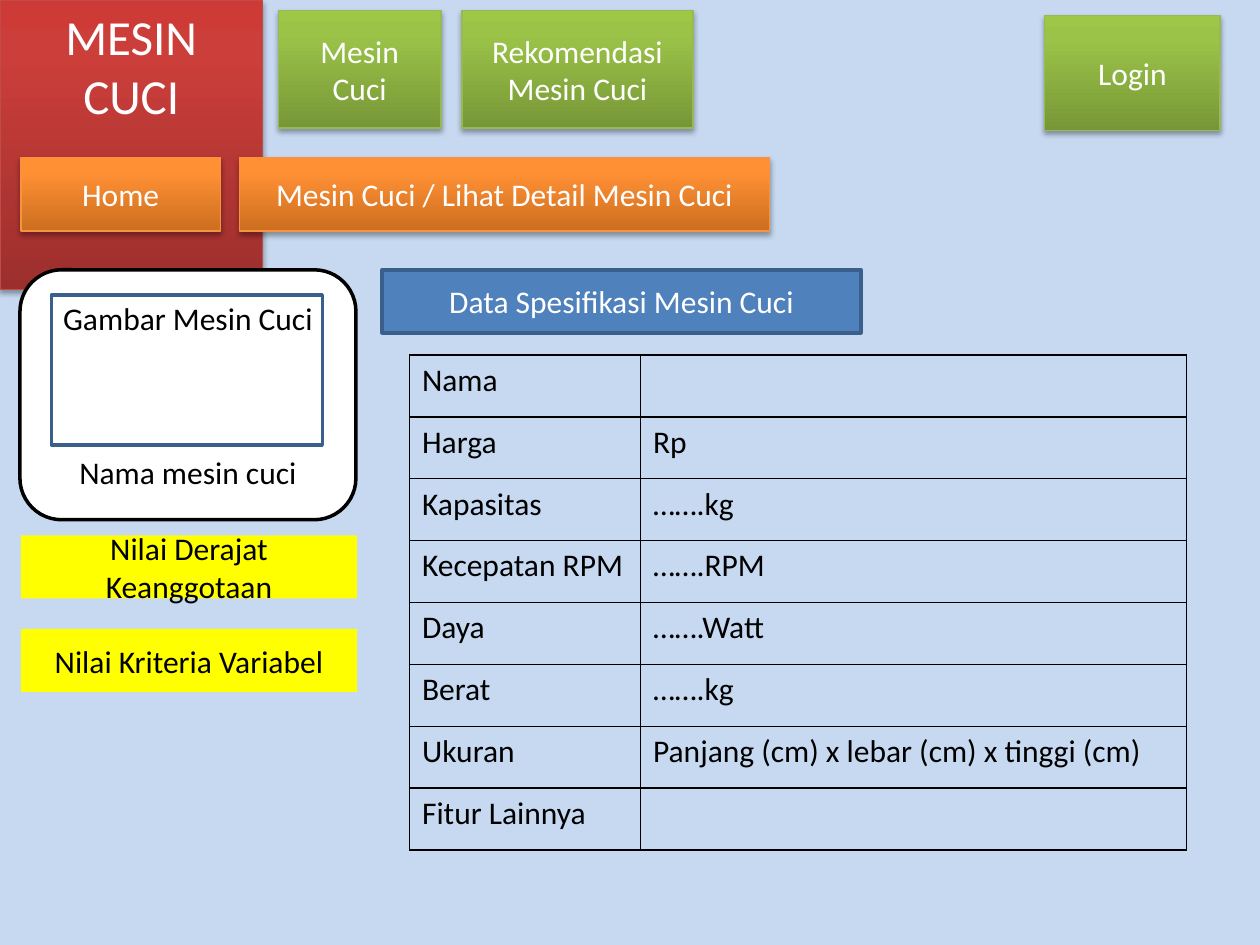
"""Build the washing machine detail page of a web mock-up."""
from dataclasses import dataclass
from typing import Optional

from pptx import Presentation
from pptx.dml.color import RGBColor
from pptx.enum.shapes import MSO_SHAPE
from pptx.enum.text import MSO_ANCHOR, MSO_AUTO_SIZE, PP_ALIGN
from pptx.oxml import parse_xml
from pptx.oxml.ns import nsdecls, qn
from pptx.util import Inches, Pt


@dataclass(frozen=True)
class Paint:
    """Fill, outline and text colours; several fill stops make a gradient with a shadow."""
    fills: tuple[str, ...] = ()
    line: Optional[str] = None
    line_width: float = 2
    text: str = "000000"


@dataclass(frozen=True)
class Theme:
    """Colours and type sizes of the slide."""
    font: str = "Calibri"
    title_size: int = 28
    body_size: int = 18
    page: str = "C6D9F1"
    black: str = "000000"
    white: str = "FFFFFF"
    red: Paint = Paint(("9C2F2D", "CB3E3A", "CE3B37"), "BF4C48", 0.75, "FFFFFF")
    orange: Paint = Paint(("CC6E20", "FF9034", "FF9136"), "F69240", 0.75, "FFFFFF")
    green: Paint = Paint(("779737", "9BC348", "9DC746"), "98B955", 0.75, "FFFFFF")
    blue: Paint = Paint(("4F81BD",), "3A5F8C", 2, "FFFFFF")
    yellow: Paint = Paint(("FFFF00",))
    card: Paint = Paint(("FFFFFF",), "000000")
    frame: Paint = Paint((), "3A5F8C")


@dataclass(frozen=True)
class Area:
    """Left, top, width and height in grid units."""
    column: float
    row: float
    columns: float
    rows: float


@dataclass(frozen=True)
class Panel:
    """A labelled box of the mock-up."""
    area: Area
    paint: Paint
    label: str = ""
    outline: MSO_SHAPE = MSO_SHAPE.RECTANGLE


THEME = Theme()
GRID_COLUMNS, GRID_ROWS = 120, 90
PAGE_WIDTH, PAGE_HEIGHT = Inches(10), Inches(7.5)
GRADIENT_STOPS = (0, 80, 100)
TITLE_AREA = Area(0, 0, 25, 12.5)
PANELS = (
    Panel(Area(2, 15, 19, 7), THEME.orange, "Home"),
    Panel(Area(22.8, 15, 50.5, 7), THEME.orange, "Mesin Cuci / Lihat Detail Mesin Cuci"),
    Panel(Area(26.5, 1, 15.5, 11.2), THEME.green, "Mesin Cuci"),
    Panel(Area(44, 1, 22, 11.2), THEME.green, "Rekomendasi Mesin Cuci"),
    Panel(Area(99.5, 1.5, 16.7, 10.9), THEME.green, "Login"),
    Panel(Area(2, 51, 32, 6), THEME.yellow, "Nilai Derajat Keanggotaan"),
    Panel(Area(2, 59.9, 32, 6), THEME.yellow, "Nilai Kriteria Variabel"),
    Panel(Area(36.4, 25.7, 45.6, 6), THEME.blue, "Data Spesifikasi Mesin Cuci"),
)
CARD = Panel(Area(1.9, 25.7, 32, 23.8), THEME.card, outline=MSO_SHAPE.ROUNDED_RECTANGLE)
FRAME = Panel(Area(4.9, 28.1, 25.8, 14.3), THEME.frame)
CAPTION_GAP = 66
TABLE_ORIGIN = (39, 33.8)
TABLE_COLUMNS = (22, 52)
TABLE_ROW = 5.9
SPECIFICATIONS = (
    ("Nama", ""),
    ("Harga", "Rp"),
    ("Kapasitas", "…….kg"),
    ("Kecepatan RPM", "…….RPM"),
    ("Daya", "…….Watt"),
    ("Berat", "…….kg"),
    ("Ukuran", "Panjang (cm) x lebar (cm) x tinggi (cm)"),
    ("Fitur Lainnya", ""),
)


def across(columns: float) -> int:
    """Return the length of a number of grid columns."""
    return round(PAGE_WIDTH * columns / GRID_COLUMNS)


def down(rows: float) -> int:
    """Return the length of a number of grid rows."""
    return round(PAGE_HEIGHT * rows / GRID_ROWS)


def bounds(area: Area) -> tuple[int, int, int, int]:
    """Return the left, top, width and height of an area."""
    return across(area.column), down(area.row), across(area.columns), down(area.rows)


def write(para, text: str, *, color: str = THEME.black, size: int = THEME.body_size,
          align: PP_ALIGN = PP_ALIGN.CENTER, space_after: float = 0) -> None:
    """Write formatted text into a paragraph."""
    para.alignment = align
    para.space_before, para.space_after = Pt(0), Pt(space_after)
    span = para.add_run()
    span.text = text
    span.font.name, span.font.size = THEME.font, Pt(size)
    span.font.color.rgb = RGBColor.from_string(color)


def apply_paint(shape, paint: Paint) -> None:
    """Give a shape its fill, outline and shadow."""
    shape.shadow.inherit = False
    if len(paint.fills) > 1:
        shape.fill.gradient()
        shape.fill.gradient_angle = 90
        properties = shape.element.spPr
        stops = properties.find(".//" + qn("a:gsLst"))
        for stop in list(stops):
            stops.remove(stop)
        for position, color in zip(GRADIENT_STOPS, paint.fills):
            stops.append(parse_xml(f'<a:gs {nsdecls("a")} pos="{position * 1000}">'
                                   f'<a:srgbClr val="{color}"/></a:gs>'))
        properties.find(qn("a:effectLst")).append(parse_xml(
            f'<a:outerShdw {nsdecls("a")} blurRad="{Pt(3.1)}" dist="{Pt(1.8)}" dir="5400000" '
            'rotWithShape="0"><a:srgbClr val="000000"><a:alpha val="35000"/></a:srgbClr>'
            '</a:outerShdw>'))
    elif paint.fills:
        shape.fill.solid()
        shape.fill.fore_color.rgb = RGBColor.from_string(paint.fills[0])
    else:
        shape.fill.background()
    if paint.line:
        shape.line.color.rgb = RGBColor.from_string(paint.line)
        shape.line.width = Pt(paint.line_width)
    else:
        shape.line.fill.background()


def add_panel(page, panel: Panel):
    """Draw a panel and its label."""
    box = page.shapes.add_shape(panel.outline, *bounds(panel.area))
    apply_paint(box, panel.paint)
    box.text_frame.word_wrap = True
    box.text_frame.vertical_anchor = MSO_ANCHOR.MIDDLE
    if panel.label:
        write(box.text_frame.paragraphs[0], panel.label, color=panel.paint.text)
    return box


def add_title(page) -> None:
    """Place and format the title."""
    title = page.shapes.title
    title.left, title.top, title.width, title.height = bounds(TITLE_AREA)
    apply_paint(title, THEME.red)
    frame = title.text_frame
    frame.word_wrap = True
    frame.vertical_anchor = MSO_ANCHOR.TOP
    frame.auto_size = MSO_AUTO_SIZE.SHAPE_TO_FIT_TEXT
    write(frame.paragraphs[0], "MESIN CUCI", color=THEME.white, size=THEME.title_size)


def add_card(page) -> None:
    """Draw the product card as one group."""
    card = add_panel(page, CARD)
    write(card.text_frame.paragraphs[0], "Gambar Mesin Cuci", space_after=CAPTION_GAP)
    write(card.text_frame.add_paragraph(), "Nama mesin cuci")
    page.shapes.add_group_shape([card, add_panel(page, FRAME)])


def add_specifications(page) -> None:
    """Draw the specification table with thin black borders."""
    area = Area(*TABLE_ORIGIN, sum(TABLE_COLUMNS), TABLE_ROW * len(SPECIFICATIONS))
    table = page.shapes.add_table(len(SPECIFICATIONS), len(TABLE_COLUMNS), *bounds(area)).table
    table.first_row = table.horz_banding = False
    for column, width in zip(table.columns, TABLE_COLUMNS):
        column.width = across(width)
    for row, values in zip(table.rows, SPECIFICATIONS):
        row.height = down(TABLE_ROW)
        for cell, value in zip(row.cells, values):
            cell.fill.background()
            for index, side in enumerate("LRTB"):
                cell._tc.get_or_add_tcPr().insert(index, parse_xml(
                    f'<a:ln{side} {nsdecls("a")} w="{Pt(1)}"><a:solidFill>'
                    f'<a:srgbClr val="{THEME.black}"/></a:solidFill></a:ln{side}>'))
            write(cell.text_frame.paragraphs[0], value, align=PP_ALIGN.LEFT)


def build() -> None:
    """Build and save the deck."""
    deck = Presentation()
    deck.slide_width, deck.slide_height = PAGE_WIDTH, PAGE_HEIGHT
    page = deck.slides.add_slide(deck.slide_layouts[5])
    page.background.fill.solid()
    page.background.fill.fore_color.rgb = RGBColor.from_string(THEME.page)
    add_title(page)
    for panel in PANELS:
        add_panel(page, panel)
    add_card(page)
    add_specifications(page)
    deck.save("out.pptx")


build()
